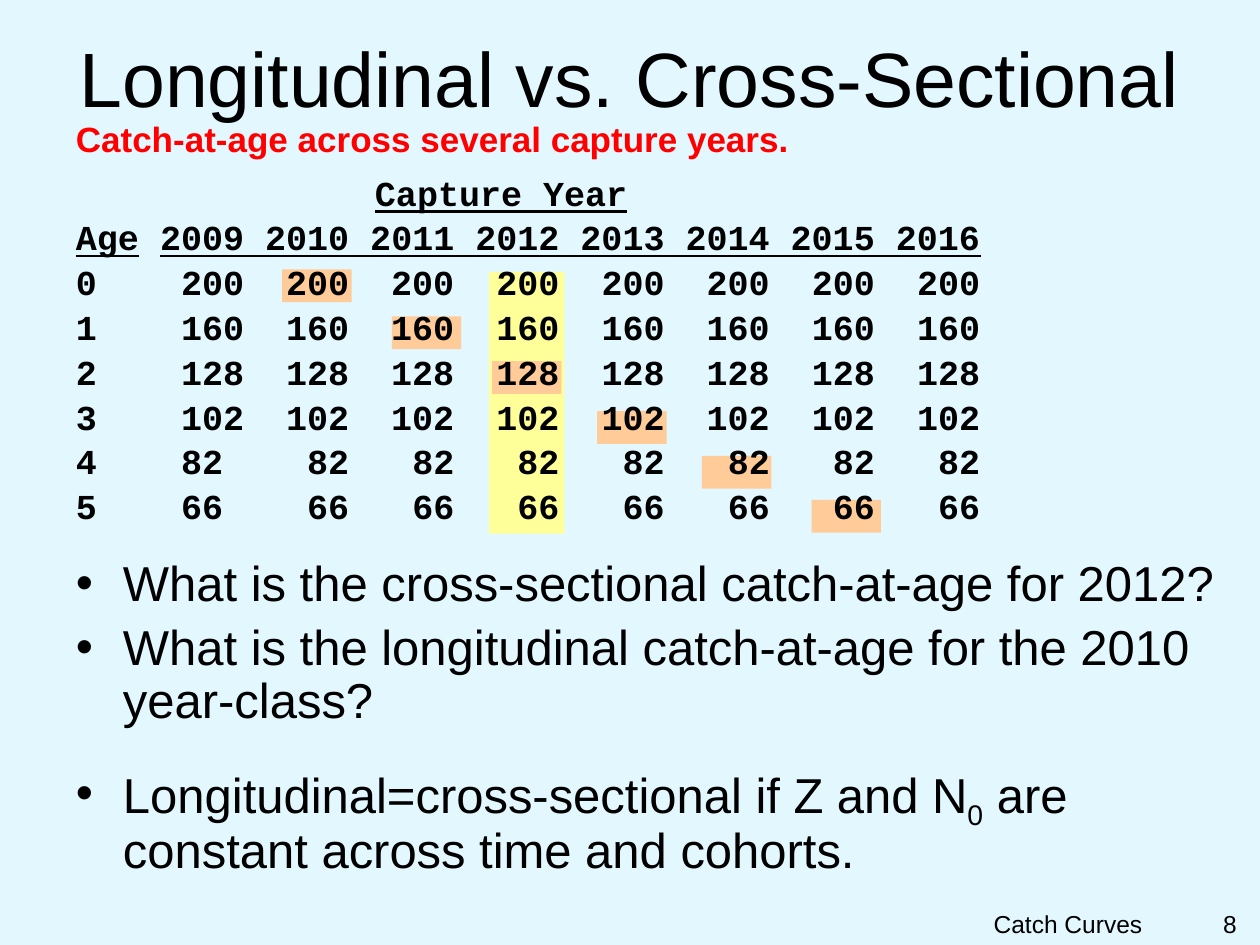
from pptx import Presentation
from pptx.dml.color import RGBColor
from pptx.enum.shapes import MSO_SHAPE
from pptx.enum.text import MSO_ANCHOR, PP_ALIGN
from pptx.oxml.ns import qn
from pptx.util import Cm, Pt
from lxml import etree

RECTANGLE = MSO_SHAPE.RECTANGLE
TOP, MIDDLE = MSO_ANCHOR.TOP, MSO_ANCHOR.MIDDLE
LEFT, CENTER, RIGHT = PP_ALIGN.LEFT, PP_ALIGN.CENTER, PP_ALIGN.RIGHT
SANS, MONO = "Arial", "Courier New"
BLACK, RED, YELLOW, ORANGE, SKY = "000000", "FF0000", "FFFF99", "FFCC99", "E2F7FE"


def rgb(value):
    return RGBColor.from_string(value)


class SlideWriter:
    def __init__(self, slide, background):
        self.slide = slide
        slide.background.fill.solid()
        slide.background.fill.fore_color.rgb = rgb(background)

    def highlight(self, left, top, width, height, color):
        band = self.slide.shapes.add_shape(
            RECTANGLE, Cm(left), Cm(top), Cm(width), Cm(height))
        band.shadow.inherit = False
        band.fill.solid()
        band.fill.fore_color.rgb = rgb(color)
        band.line.fill.background()

    def text_frame(self, left, top, width, height, anchor=TOP):
        frame = self.slide.shapes.add_textbox(
            Cm(left), Cm(top), Cm(width), Cm(height)).text_frame
        frame.word_wrap = True
        frame.vertical_anchor = anchor
        return frame

    def style(self, paragraph, size, font=SANS, color=BLACK, bold=False, align=LEFT):
        paragraph.alignment = align
        paragraph.font.size = Pt(size)
        paragraph.font.name = font
        paragraph.font.bold = bold
        paragraph.font.color.rgb = rgb(color)

    def label(self, text, left, top, width, height, size, align, anchor=TOP):
        paragraph = self.text_frame(left, top, width, height, anchor).paragraphs[0]
        paragraph.text = text
        self.style(paragraph, size, align=align)

    def body_line(self, paragraph, before):
        paragraph.line_spacing = 0.9
        paragraph.space_before = Pt(before)

    def data_line(self, frame, parts, tabs, before=4):
        paragraph = frame.add_paragraph()
        self.body_line(paragraph, before)
        tab_list = etree.SubElement(paragraph._p.get_or_add_pPr(), qn("a:tabLst"))
        for position, align in tabs:
            etree.SubElement(tab_list, qn("a:tab"), pos=str(Cm(position)), algn=align)
        for text, underlined in parts:
            run = paragraph.add_run()
            run.text = text
            run.font.underline = underlined
        self.style(paragraph, 20, MONO, bold=True)

    def bullet(self, frame, parts, before):
        paragraph = frame.add_paragraph()
        self.body_line(paragraph, before)
        properties = paragraph._p.get_or_add_pPr()
        properties.set("marL", str(Cm(0.95)))
        properties.set("indent", str(Cm(-0.95)))
        etree.SubElement(properties, qn("a:buFont"), typeface=SANS)
        etree.SubElement(properties, qn("a:buChar"), char="•")
        for text, baseline in parts:
            run = paragraph.add_run()
            run.text = text
            if baseline:
                run.font._element.set("baseline", str(baseline))
        self.style(paragraph, 28)


def main():
    deck = Presentation()
    deck.slide_width, deck.slide_height = Cm(25.4), Cm(19.05)
    writer = SlideWriter(deck.slides.add_slide(deck.slide_layouts[6]), SKY)

    writer.label("Catch Curves", 15.23, 18.21, 8.05, 0.64, 14, RIGHT)
    writer.label("8", 23.48, 18.21, 1.7, 0.86, 14, RIGHT)
    writer.highlight(9.86, 5.48, 1.52, 5.28, YELLOW)
    writer.label("Longitudinal vs. Cross-Sectional",
                 0.18, 0.35, 25.04, 2.41, 44, CENTER, MIDDLE)
    cohort = [(5.69, 5.43), (7.9, 6.38), (9.92, 7.28),
              (12.04, 8.29), (14.15, 9.19), (16.36, 10.08)]
    for left, top in cohort:
        writer.highlight(left, top, 1.4, 0.66, ORANGE)

    body = writer.text_frame(1.28, 2.34, 23.7, 15.88)
    heading = body.paragraphs[0]
    heading.text = "Catch-at-age across several capture years."
    writer.body_line(heading, 0)
    writer.style(heading, 20, color=RED, bold=True)

    years = range(2009, 2017)
    columns = [(2.12, "l")]
    columns += [(5.51 + 2.12 * step, "r") for step in range(len(years) - 1)]
    writer.data_line(body, [("\t", False), ("Capture Year", True)],
                     [(6.03, "l")], before=9)
    writer.data_line(body, [("Age", True), (" ", False),
                            (" ".join(map(str, years)), True)], [])
    for age, catch in enumerate([200, 160, 128, 102, 82, 66]):
        row = "\t".join(map(str, [age] + [catch] * len(years)))
        writer.data_line(body, [(row, False)], columns)

    writer.bullet(body, [("What is the cross-sectional catch-at-age for 2012?", 0)], 18.5)
    writer.bullet(body, [("What is the longitudinal catch-at-age for the 2010 "
                          "year-class?", 0)], 6.2)
    writer.bullet(body, [("Longitudinal=cross-sectional if Z and N", 0), ("0", -25000),
                         (" are constant across time and cohorts.", 0)], 20.7)

    deck.save("out.pptx")


if __name__ == "__main__":
    main()
